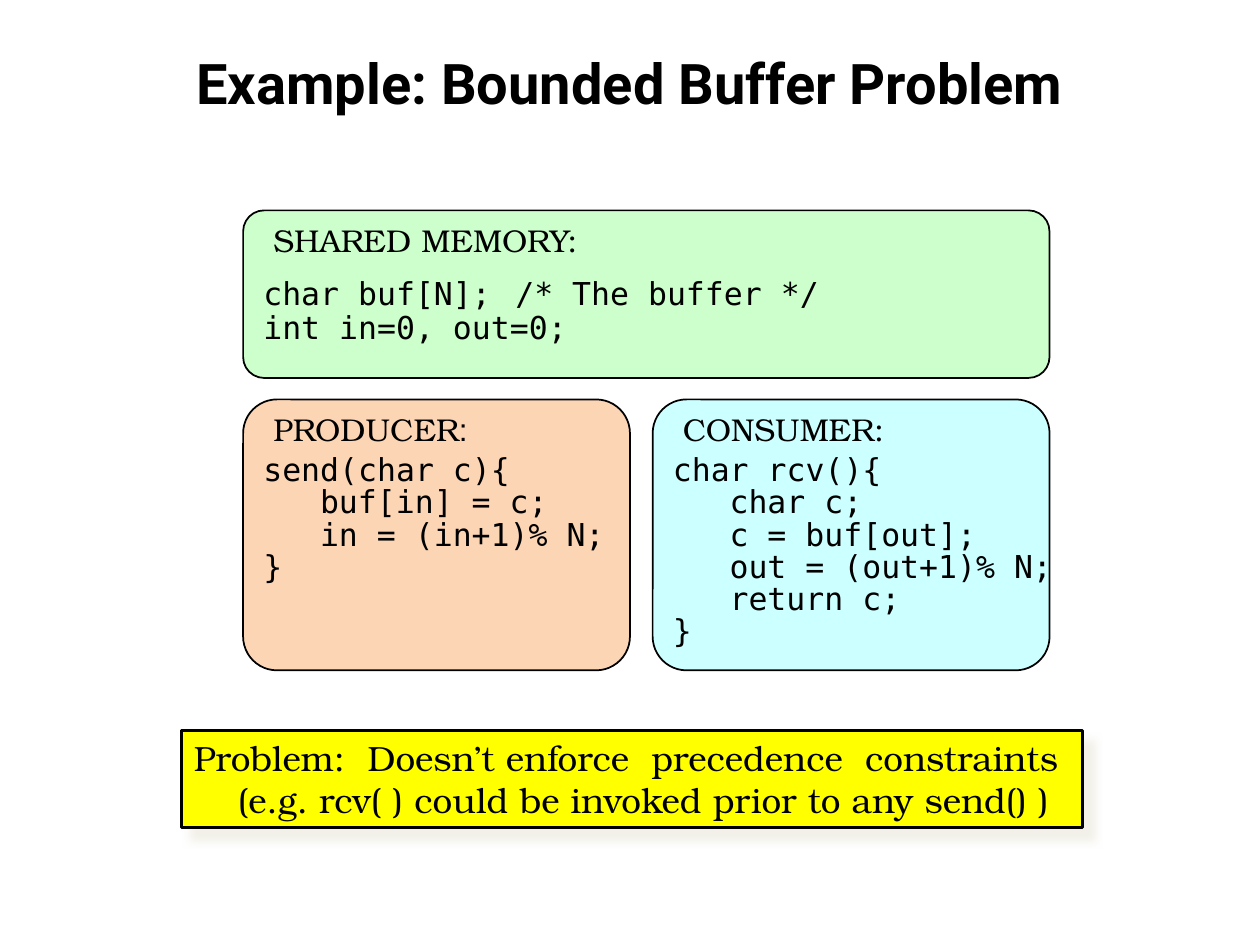
from dataclasses import dataclass

from lxml.etree import SubElement
from pptx import Presentation
from pptx.dml.color import RGBColor
from pptx.enum.shapes import MSO_SHAPE
from pptx.enum.text import MSO_ANCHOR, PP_ALIGN
from pptx.oxml.ns import qn
from pptx.util import Inches, Pt


@dataclass(frozen=True)
class Theme:
    ink: str = "000000"
    shared: str = "CCFFCC"
    producer: str = "FCD5B5"
    consumer: str = "CCFFFF"
    warning: str = "FFFF00"
    shadow: str = "EEECE1"
    title_font: str = "Roboto"
    body_font: str = "TeX Gyre Bonum"
    code_font: str = "DejaVu Sans Mono"
    colon_font: str = "Arial"
    title_size: int = 32
    warning_size: int = 20
    body_size: int = 18


THEME = Theme()
CODE_INDENT = 0.45
COMMENT_TAB = 3.31


def style_run(run, font_name, size, bold=False):
    run.font.name = font_name
    run.font.size = Pt(size)
    run.font.bold = bold
    run.font.color.rgb = RGBColor.from_string(THEME.ink)


def add_box(slide, shape_type, box, fill, line_width):
    shape = slide.shapes.add_shape(shape_type, *map(Inches, box))
    shape.shadow.inherit = False
    shape.fill.solid()
    shape.fill.fore_color.rgb = RGBColor.from_string(fill)
    shape.line.color.rgb = RGBColor.from_string(THEME.ink)
    shape.line.width = Pt(line_width)
    return shape


def add_text(slide, box):
    text_frame = slide.shapes.add_textbox(*map(Inches, box)).text_frame
    text_frame.word_wrap = True
    text_frame.margin_left = text_frame.margin_right = Inches(0.07)
    text_frame.margin_top = text_frame.margin_bottom = Inches(0.03)
    return text_frame


def set_indent(paragraph, inches):
    properties = paragraph._p.get_or_add_pPr()
    properties.set("marL", str(Inches(inches)))
    properties.set("indent", "0")


def set_tab(paragraph, inches):
    tabs = SubElement(paragraph._p.get_or_add_pPr(), qn("a:tabLst"))
    SubElement(tabs, qn("a:tab"), pos=str(Inches(inches)), algn="l")


def fill_lines(text_frame, lines, font_name, size, indent, spacing):
    """Write (level, text) lines, one paragraph each, indented by level."""
    text_frame.text = "\n".join(text for _, text in lines)
    for paragraph, (level, text) in zip(text_frame.paragraphs, lines):
        paragraph.alignment = PP_ALIGN.LEFT
        paragraph.line_spacing = spacing
        set_indent(paragraph, level * indent)
        if "\t" in text:
            set_tab(paragraph, COMMENT_TAB)
        for run in paragraph.runs:
            style_run(run, font_name, size)


def add_code_panel(slide, box, fill, heading, lines, code_offset=0.42,
                   spacing=0.85, colon_font=THEME.body_font):
    """Draw a rounded panel with a heading above its code."""
    left, top, width, height = box
    panel = add_box(slide, MSO_SHAPE.ROUNDED_RECTANGLE, box, fill, 1)
    panel.adjustments[0] = 0.125

    heading_frame = add_text(slide, (left + 0.17, top + 0.1, width - 0.3, 0.32))
    paragraph = heading_frame.paragraphs[0]
    paragraph.line_spacing = 0.85
    for text, font_name in ((heading, THEME.body_font), (":", colon_font)):
        run = paragraph.add_run()
        run.text = text
        style_run(run, font_name, THEME.body_size)

    code_box = (left + 0.09, top + code_offset, width + 0.1, 0.26 * len(lines) + 0.06)
    fill_lines(add_text(slide, code_box), lines, THEME.code_font,
               THEME.body_size, CODE_INDENT, spacing)


def add_soft_shadow(shape):
    effects = shape._element.spPr.find(qn("a:effectLst"))
    shadow = SubElement(effects, qn("a:outerShdw"), blurRad=str(Pt(5)),
                        dist=str(Pt(8.5)), dir=str(45 * 60000),
                        algn="tl", rotWithShape="0")
    color = SubElement(shadow, qn("a:srgbClr"), val=THEME.shadow)
    SubElement(color, qn("a:alpha"), val="75000")


def add_warning(slide, box, lines):
    shape = add_box(slide, MSO_SHAPE.RECTANGLE, box, THEME.warning, 1.5)
    add_soft_shadow(shape)
    shape.text_frame.word_wrap = True
    shape.text_frame.vertical_anchor = MSO_ANCHOR.TOP
    fill_lines(shape.text_frame, lines, THEME.body_font, THEME.warning_size, 0.35, 1.0)


def add_title(slide, box, text):
    text_frame = add_text(slide, box)
    text_frame.vertical_anchor = MSO_ANCHOR.MIDDLE
    text_frame.text = text
    paragraph = text_frame.paragraphs[0]
    paragraph.alignment = PP_ALIGN.CENTER
    style_run(paragraph.runs[0], THEME.title_font, THEME.title_size, bold=True)


def main():
    presentation = Presentation()
    presentation.slide_width = Inches(10)
    presentation.slide_height = Inches(7.5)
    slide = presentation.slides.add_slide(presentation.slide_layouts[6])

    add_title(slide, (0.5, 0.3, 9, 0.7), "Example: Bounded Buffer Problem")
    add_code_panel(
        slide, (1.93, 1.67, 6.4, 1.33), THEME.shared, "SHARED MEMORY",
        [(0, "char buf[N];\t/* The buffer */"), (0, "int in=0, out=0;")],
        code_offset=0.51, spacing=0.9)
    add_code_panel(
        slide, (1.93, 3.17, 3.07, 2.15), THEME.producer, "PRODUCER",
        [(0, "send(char c){"), (1, "buf[in] = c;"), (1, "in = (in+1)% N;"), (0, "}")],
        colon_font=THEME.colon_font)
    add_code_panel(
        slide, (5.18, 3.17, 3.15, 2.15), THEME.consumer, "CONSUMER",
        [(0, "char rcv(){"), (1, "char c;"), (1, "c = buf[out];"),
         (1, "out = (out+1)% N;"), (1, "return c;"), (0, "}")])
    add_warning(
        slide, (1.44, 5.8, 7.15, 0.77),
        [(0, "Problem:  Doesn’t enforce  precedence  constraints"),
         (1, "(e.g. rcv( ) could be invoked prior to any send() )")])

    presentation.save("out.pptx")


if __name__ == "__main__":
    main()
